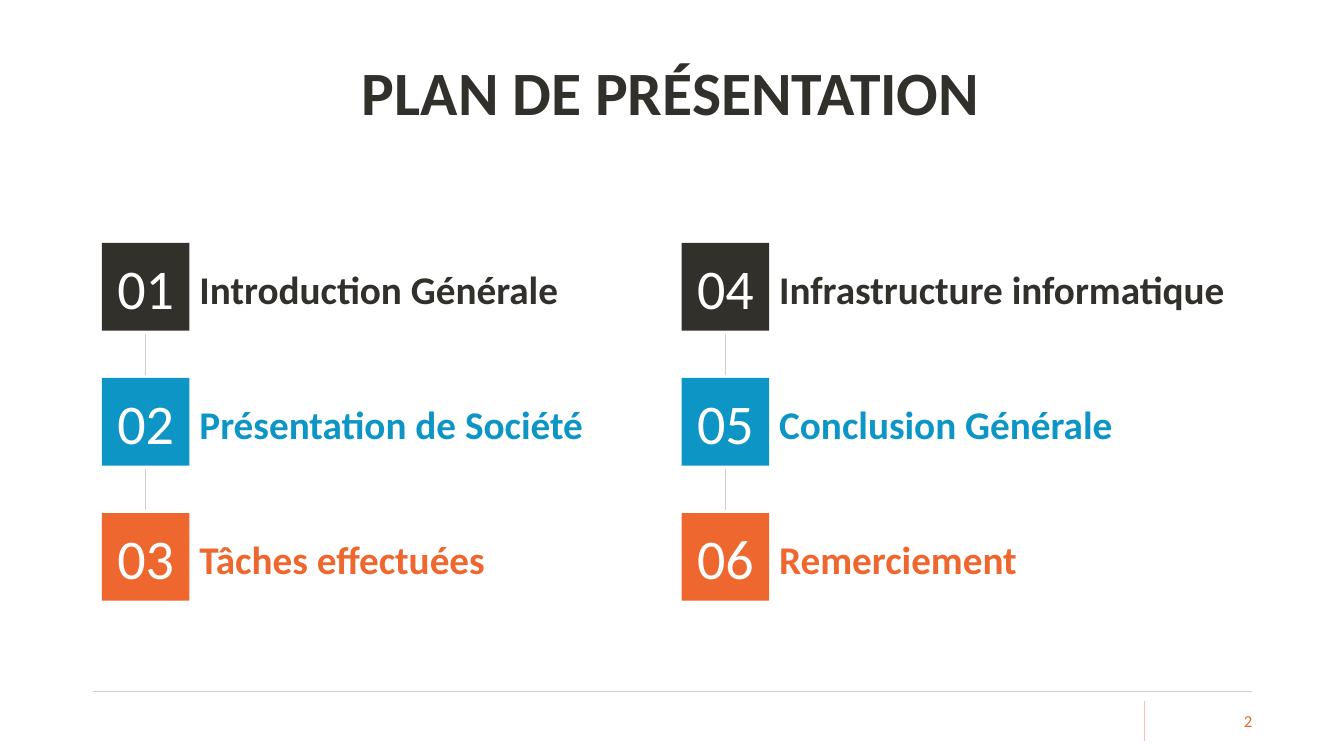
"""Build the agenda slide with two columns of numbered sections."""
from dataclasses import dataclass

from lxml.etree import SubElement
from pptx import Presentation
from pptx.dml.color import RGBColor
from pptx.enum.shapes import MSO_CONNECTOR, MSO_SHAPE
from pptx.enum.text import MSO_ANCHOR, MSO_AUTO_SIZE, PP_ALIGN
from pptx.oxml.ns import qn
from pptx.slide import Slide
from pptx.text.text import TextFrame
from pptx.util import Inches, Pt

COLORS = {
    "dark": "31302B",
    "blue": "0D96C5",
    "orange": "EE672F",
    "white": "FFFFFF",
    "link": "D0CECE",
    "rule": "CECDC7",
    "divider": "F8C2AC",
}
ROW_COLORS = ["dark", "blue", "orange"]
COLUMN_LEFTS = [1.01, 6.76]
FIRST_TOP = 2.41
ROW_STEP = 1.34
SQUARE = 0.87
LINK_GAP = 0.03


@dataclass
class Section:
    label: str
    label_width: float = 4.61


@dataclass
class Rule:
    start: tuple[float, float]
    end: tuple[float, float]
    color: str


SECTIONS = [
    Section("Introduction Générale"),
    Section("Présentation de Société"),
    Section("Tâches effectuées"),
    Section("Infrastructure informatique", 4.7),
    Section("Conclusion Générale"),
    Section("Remerciement"),
]
FOOTER_RULES = [
    Rule((0.92, 6.86), (12.42, 6.86), "rule"),
    Rule((11.35, 6.95), (11.35, 7.35), "divider"),
]


def rgb(name: str) -> RGBColor:
    return RGBColor.from_string(COLORS[name])


def write_text(frame: TextFrame, text: str, size: int, color: str, bold: bool = False,
               alignment: PP_ALIGN = PP_ALIGN.LEFT) -> None:
    frame.text = text
    paragraph = frame.paragraphs[0]
    paragraph.alignment = alignment
    font = paragraph.runs[0].font
    font.name = "Calibri"
    font.size = Pt(size)
    font.bold = bold
    font.color.rgb = rgb(color)


def set_margins(frame: TextFrame, left: float, top: float, right: float, bottom: float) -> None:
    frame.margin_left = Inches(left)
    frame.margin_top = Inches(top)
    frame.margin_right = Inches(right)
    frame.margin_bottom = Inches(bottom)


def add_rule(slide: Slide, rule: Rule) -> None:
    points = [Inches(value) for value in (*rule.start, *rule.end)]
    connector = slide.shapes.add_connector(MSO_CONNECTOR.STRAIGHT, *points)
    connector.line.color.rgb = rgb(rule.color)
    connector.line.width = Pt(0.5)
    SubElement(connector.element.spPr, qn("a:effectLst"))


def add_section(slide: Slide, section: Section, number: int, left: float, top: float,
                color: str) -> None:
    label = slide.shapes.add_textbox(Inches(left + SQUARE), Inches(top + 0.22),
                                     Inches(section.label_width), Inches(0.47))
    frame = label.text_frame
    frame.word_wrap = True
    frame.auto_size = MSO_AUTO_SIZE.SHAPE_TO_FIT_TEXT
    set_margins(frame, 0.1, 0, 0.1, 0)
    write_text(frame, section.label, 28, color, bold=True)

    square = slide.shapes.add_shape(MSO_SHAPE.RECTANGLE, Inches(left), Inches(top),
                                    Inches(SQUARE), Inches(SQUARE))
    square.shadow.inherit = False
    square.fill.solid()
    square.fill.fore_color.rgb = rgb(color)
    square.line.fill.background()
    square.text_frame.vertical_anchor = MSO_ANCHOR.MIDDLE
    write_text(square.text_frame, f"{number:02d}", 40, "white", alignment=PP_ALIGN.CENTER)


def add_title(slide: Slide) -> None:
    title = slide.shapes.title
    title.left, title.top = Inches(1.47), Inches(0.22)
    title.width, title.height = Inches(10.47), Inches(1.45)
    frame = title.text_frame
    frame.word_wrap = True
    frame.auto_size = MSO_AUTO_SIZE.NONE
    frame.vertical_anchor = MSO_ANCHOR.MIDDLE
    set_margins(frame, 0, 0.05, 0.1, 0.05)
    write_text(frame, "PLAN DE PRÉSENTATION", 44, "dark", True, PP_ALIGN.CENTER)
    frame.paragraphs[0].line_spacing = 0.9


def add_page_number(slide: Slide) -> None:
    box = slide.shapes.add_textbox(Inches(11.47), Inches(6.95), Inches(0.95), Inches(0.4))
    frame = box.text_frame
    frame.word_wrap = True
    frame.vertical_anchor = MSO_ANCHOR.MIDDLE
    set_margins(frame, 0, 0.05, 0, 0.05)
    write_text(frame, "2", 12, "orange", alignment=PP_ALIGN.RIGHT)


def main() -> None:
    presentation = Presentation()
    presentation.slide_width = Inches(13.33)
    presentation.slide_height = Inches(7.5)
    slide = presentation.slides.add_slide(presentation.slide_layouts.get_by_name("Title Only"))

    for rule in FOOTER_RULES:
        add_rule(slide, rule)
    for index, section in enumerate(SECTIONS):
        column, row = divmod(index, len(ROW_COLORS))
        left = COLUMN_LEFTS[column]
        top = FIRST_TOP + row * ROW_STEP
        add_section(slide, section, index + 1, left, top, ROW_COLORS[row])
        if row > 0:
            center = left + SQUARE / 2
            link_start = top - ROW_STEP + SQUARE + LINK_GAP
            add_rule(slide, Rule((center, link_start), (center, top - LINK_GAP), "link"))
    add_title(slide)
    add_page_number(slide)
    presentation.save("out.pptx")


if __name__ == "__main__":
    main()
